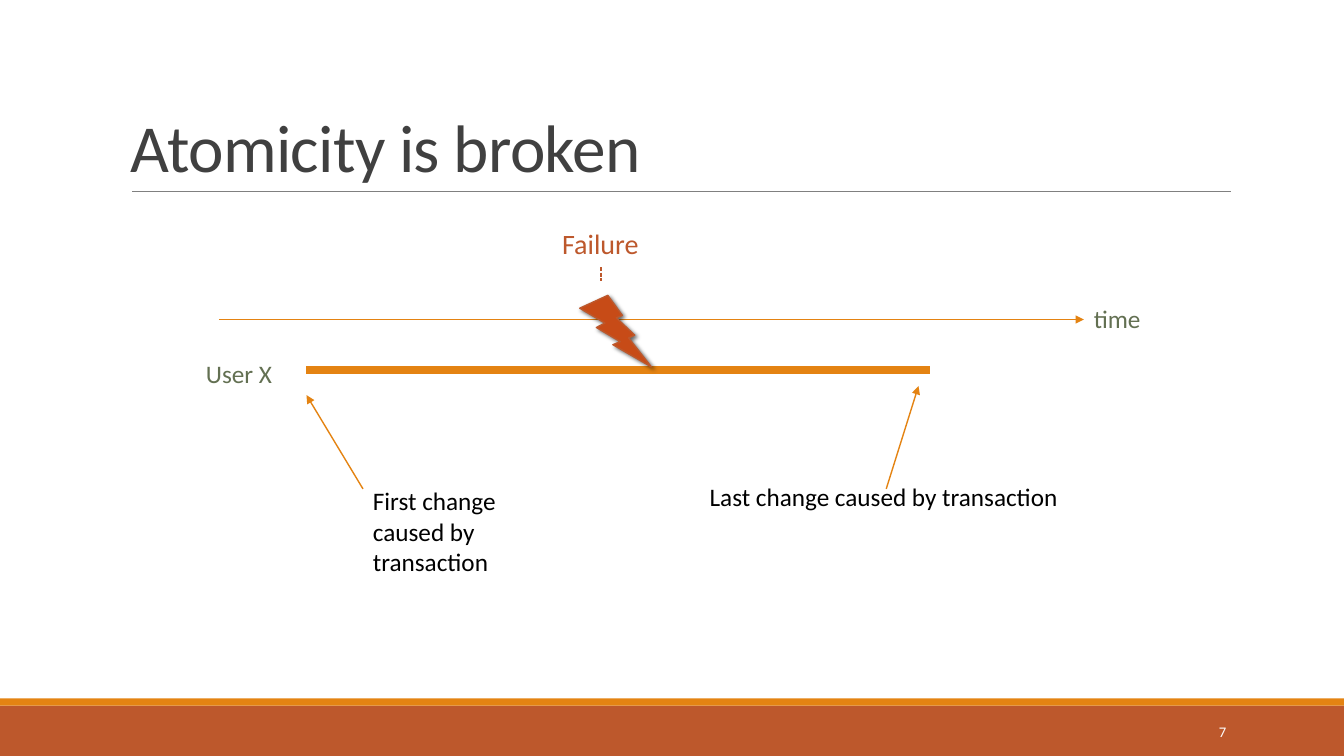
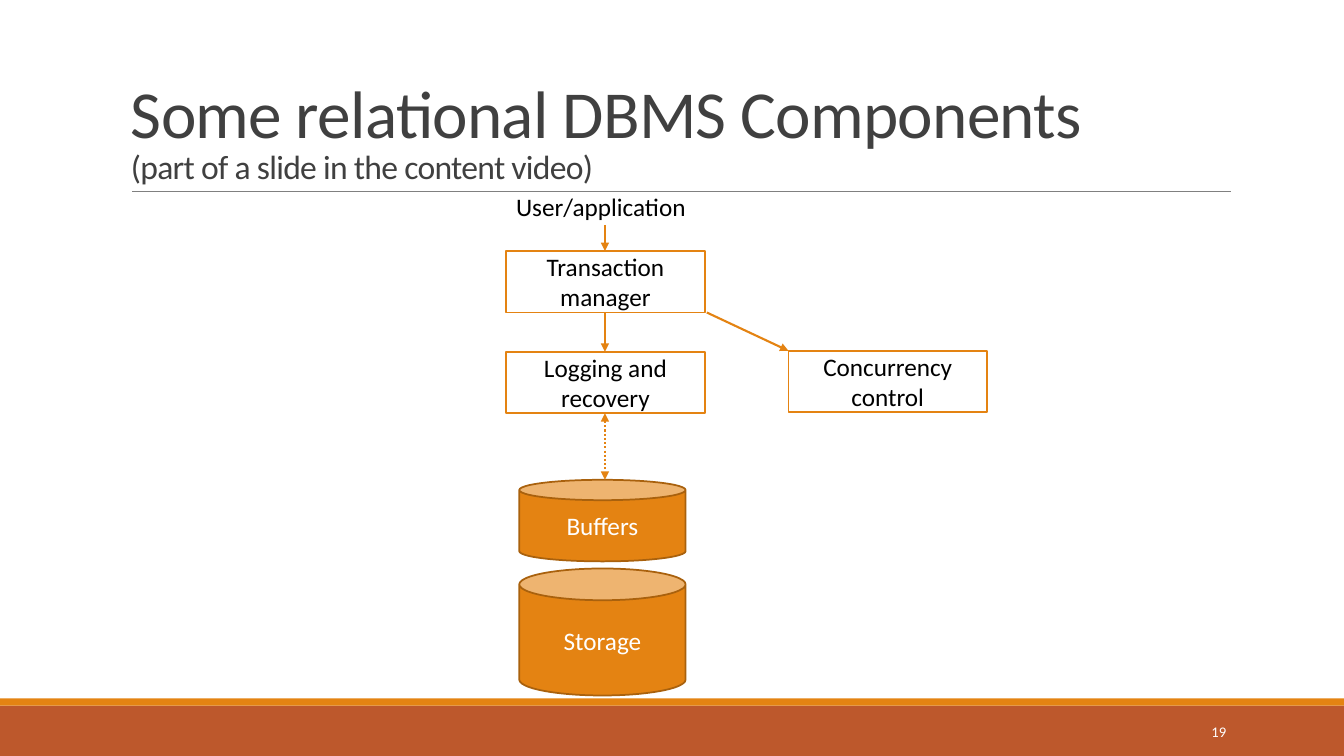
"""Build two database slides: broken atomicity and relational DBMS components."""
from dataclasses import dataclass

import pptx
import pptx.dml.color
import pptx.enum.dml
import pptx.enum.shapes
import pptx.enum.text
import pptx.oxml.ns
import pptx.util
from lxml import etree

SHAPE = pptx.enum.shapes.MSO_SHAPE
ALIGN = pptx.enum.text.PP_ALIGN
ANCHOR = pptx.enum.text.MSO_ANCHOR
DASH = pptx.enum.dml.MSO_LINE
PX = 9144
SLIDE_WIDTH, SLIDE_HEIGHT = 1333, 750


@dataclass(frozen=True)
class Theme:
    font: str = "Calibri"
    white: str = "FFFFFF"
    black: str = "000000"
    orange: str = "E48312"
    rust: str = "BD582C"
    bolt: str = "C74B17"
    can_edge: str = "A9610D"
    rule: str = "808080"
    title: str = "404040"
    olive: str = "637052"
    title_sizes: tuple = (48, 24)
    title_spacing: str = "-50"
    body_size: float = 18
    failure_size: float = 20
    number_size: float = 10.5


THEME = Theme()

ATOMICITY = {"title": ["Atomicity is broken"], "number": "7"}
TIMELINE_LINES = [
    {"start": (217, 317), "end": (1075, 317), "tail": True},
    {"start": (304, 367), "end": (922, 367), "width": 6},
    {"start": (596, 265), "end": (596, 279), "color": THEME.rust, "dash": DASH.SQUARE_DOT},
    {"start": (360, 485), "end": (304, 392), "tail": True},
    {"start": (879, 485), "end": (911, 383), "tail": True},
]
BOLT_FRAME = (575, 293, 71, 71)
TIMELINE_LABELS = [
    {"text": "time", "frame": (1075, 296, 67, 40), "color": THEME.olive},
    {"text": "User X", "frame": (194, 351, 86, 40), "color": THEME.olive, "align": ALIGN.CENTER},
    {"text": "Failure", "frame": (547, 220, 97, 44), "color": THEME.rust,
     "align": ALIGN.CENTER, "size": THEME.failure_size},
    {"text": "First change caused by transaction", "frame": (360, 477, 161, 101), "wrap": True},
    {"text": "Last change caused by transaction", "frame": (694, 473, 370, 40)},
]

COMPONENTS = {
    "title": ["Some relational DBMS Components", "(part of a slide in the content video)"],
    "number": "19",
}
ENTRY_LABEL = {"text": "User/application", "frame": (502, 185, 190, 40)}
ENTRY_BOTTOM = 223
FLOW_X = 600
BOX_WIDTH, BOX_HEIGHT = 197, 61
MANAGER_TOP, LOGGING_TOP, CONTROL_TOP = 249, 349, 348
BOX_LEFT, CONTROL_LEFT = 502, 782
BOXES = [
    ("Transaction manager", BOX_LEFT, MANAGER_TOP),
    ("Logging and recovery", BOX_LEFT, LOGGING_TOP),
    ("Concurrency control", CONTROL_LEFT, CONTROL_TOP),
]
CAN_LEFT, CAN_WIDTH = 515, 165
BUFFERS_TOP = 476
CANS = [("Storage", 564, 126), ("Buffers", BUFFERS_TOP, 81)]


def emu(*lengths):
    return [pptx.util.Emu(length * PX) for length in lengths]


def rgb(color):
    return pptx.dml.color.RGBColor.from_string(color)


def add_effects(shape):
    tag = pptx.oxml.ns.qn("a:effectLst")
    effects = shape._element.spPr.find(tag)
    if effects is None:
        effects = etree.SubElement(shape._element.spPr, tag)
    return effects


def style_runs(paragraph, color, sizes):
    for run, size in zip(paragraph.runs, sizes):
        run.font.name = THEME.font
        run.font.size = pptx.util.Pt(size)
        run.font.color.rgb = rgb(color)


def write(shape, text, color=THEME.black, size=THEME.body_size, align=ALIGN.LEFT,
          anchor=ANCHOR.TOP, wrap=False):
    frame = shape.text_frame
    frame.text = text
    frame.word_wrap = wrap
    frame.vertical_anchor = anchor
    frame.paragraphs[0].alignment = align
    style_runs(frame.paragraphs[0], color, [size])


def add_label(slide, text, frame, **style):
    write(slide.shapes.add_textbox(*emu(*frame)), text, **style)


def add_block(slide, kind, frame, fill, edge=None, edge_width=1.25):
    shape = slide.shapes.add_shape(kind, *emu(*frame))
    shape.shadow.inherit = False
    shape.fill.solid()
    shape.fill.fore_color.rgb = rgb(fill)
    if edge:
        shape.line.color.rgb = rgb(edge)
        shape.line.width = pptx.util.Pt(edge_width)
    else:
        shape.line.fill.background()
    return shape


def add_line(slide, start, end, color=THEME.orange, width=1, dash=None, head=False, tail=False):
    connector = slide.shapes.add_connector(
        pptx.enum.shapes.MSO_CONNECTOR.STRAIGHT, *emu(*start, *end))
    connector.line.color.rgb = rgb(color)
    connector.line.width = pptx.util.Pt(width)
    if dash:
        connector.line.dash_style = dash
    for name, wanted in (("a:headEnd", head), ("a:tailEnd", tail)):
        if wanted:
            outline = connector.line._get_or_add_ln()
            etree.SubElement(outline, pptx.oxml.ns.qn(name), type="triangle")
    add_effects(connector)


def add_bolt_shadow(shape):
    qn = pptx.oxml.ns.qn
    shadow = etree.SubElement(
        add_effects(shape), qn("a:outerShdw"), blurRad=str(pptx.util.Pt(3)),
        dist=str(pptx.util.Pt(2)), dir="2700000", algn="ctr", rotWithShape="0")
    color = etree.SubElement(shadow, qn("a:srgbClr"), val=THEME.black)
    etree.SubElement(color, qn("a:alpha"), val="60000")


def add_base_slide(presentation, title, number):
    slide = presentation.slides.add_slide(presentation.slide_layouts[6])
    add_block(slide, SHAPE.RECTANGLE, (0, 700, SLIDE_WIDTH, 50), THEME.rust)
    add_block(slide, SHAPE.RECTANGLE, (0, 693, SLIDE_WIDTH, 7), THEME.orange)
    add_line(slide, (131, 190), (1221, 190), THEME.rule, 0.5)
    heading = slide.shapes.add_textbox(*emu(120, 31, 1100, 159))
    write(heading, "\v".join(title), anchor=ANCHOR.BOTTOM, wrap=True)
    paragraph = heading.text_frame.paragraphs[0]
    paragraph.line_spacing = 0.85
    style_runs(paragraph, THEME.title, THEME.title_sizes)
    for run in paragraph.runs:
        run._r.get_or_add_rPr().set("spc", THEME.title_spacing)
    add_label(slide, number, (1083, 706, 143, 40), color=THEME.white, size=THEME.number_size,
              align=ALIGN.RIGHT, anchor=ANCHOR.MIDDLE, wrap=True)
    return slide


def build_atomicity(presentation):
    slide = add_base_slide(presentation, **ATOMICITY)
    for line in TIMELINE_LINES:
        add_line(slide, **line)
    bolt = add_block(slide, SHAPE.LIGHTNING_BOLT, BOLT_FRAME, THEME.bolt, THEME.rust, 1)
    add_bolt_shadow(bolt)
    for label in TIMELINE_LABELS:
        add_label(slide, **label)


def build_components(presentation):
    slide = add_base_slide(presentation, **COMPONENTS)
    centered = {"align": ALIGN.CENTER, "anchor": ANCHOR.MIDDLE, "wrap": True}
    for text, left, top in BOXES:
        box = add_block(slide, SHAPE.RECTANGLE, (left, top, BOX_WIDTH, BOX_HEIGHT),
                        THEME.white, THEME.orange)
        write(box, text, **centered)
    for text, top, height in CANS:
        can = add_block(slide, SHAPE.CAN, (CAN_LEFT, top, CAN_WIDTH, height),
                        THEME.orange, THEME.can_edge)
        write(can, text, color=THEME.white, **centered)
    add_label(slide, **ENTRY_LABEL)
    manager_bottom = MANAGER_TOP + BOX_HEIGHT
    for start, end in [
        ((FLOW_X, ENTRY_BOTTOM), (FLOW_X, MANAGER_TOP)),
        ((FLOW_X, manager_bottom), (FLOW_X, LOGGING_TOP)),
        ((BOX_LEFT + BOX_WIDTH + 2, manager_bottom), (CONTROL_LEFT, CONTROL_TOP)),
    ]:
        add_line(slide, start, end, width=1.5, tail=True)
    add_line(slide, (FLOW_X, LOGGING_TOP + BOX_HEIGHT), (FLOW_X, BUFFERS_TOP),
             width=1.5, dash=DASH.ROUND_DOT, head=True, tail=True)


def main():
    presentation = pptx.Presentation()
    presentation.slide_width, presentation.slide_height = emu(SLIDE_WIDTH, SLIDE_HEIGHT)
    build_atomicity(presentation)
    build_components(presentation)
    presentation.save("out.pptx")


if __name__ == "__main__":
    main()
